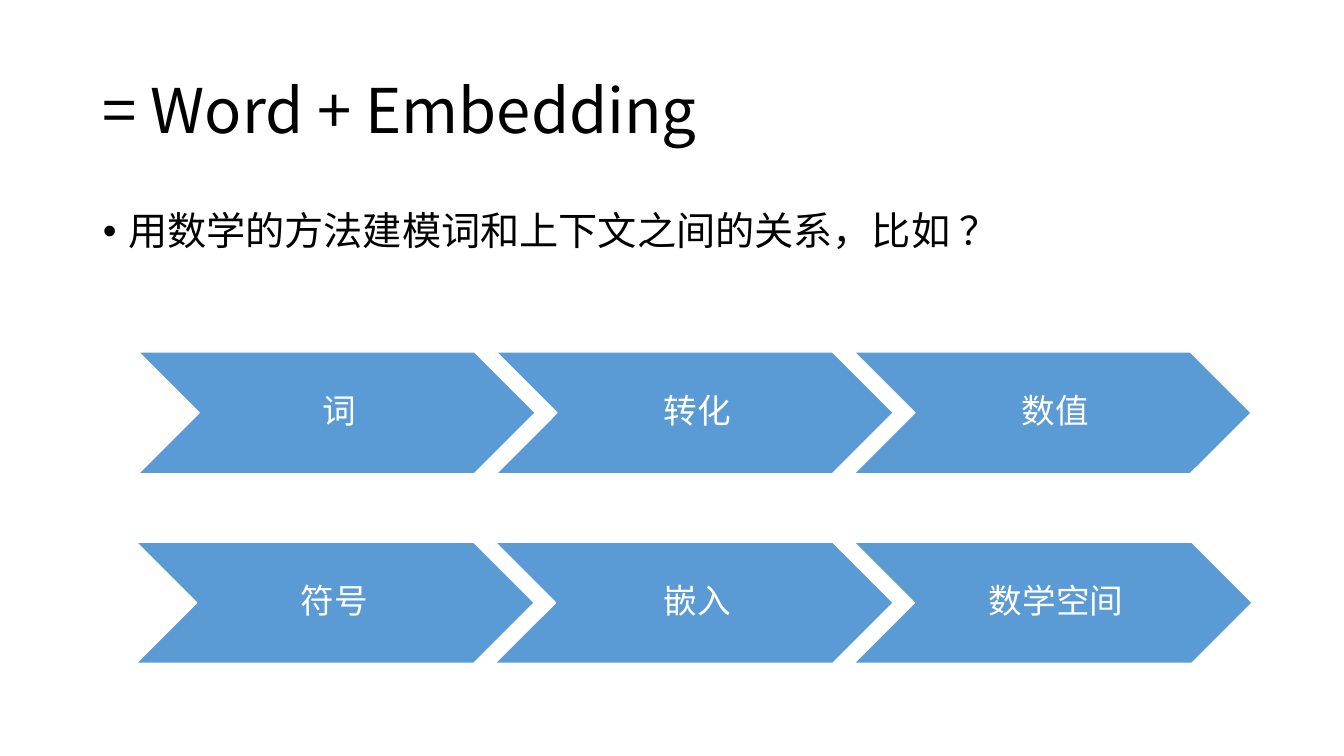
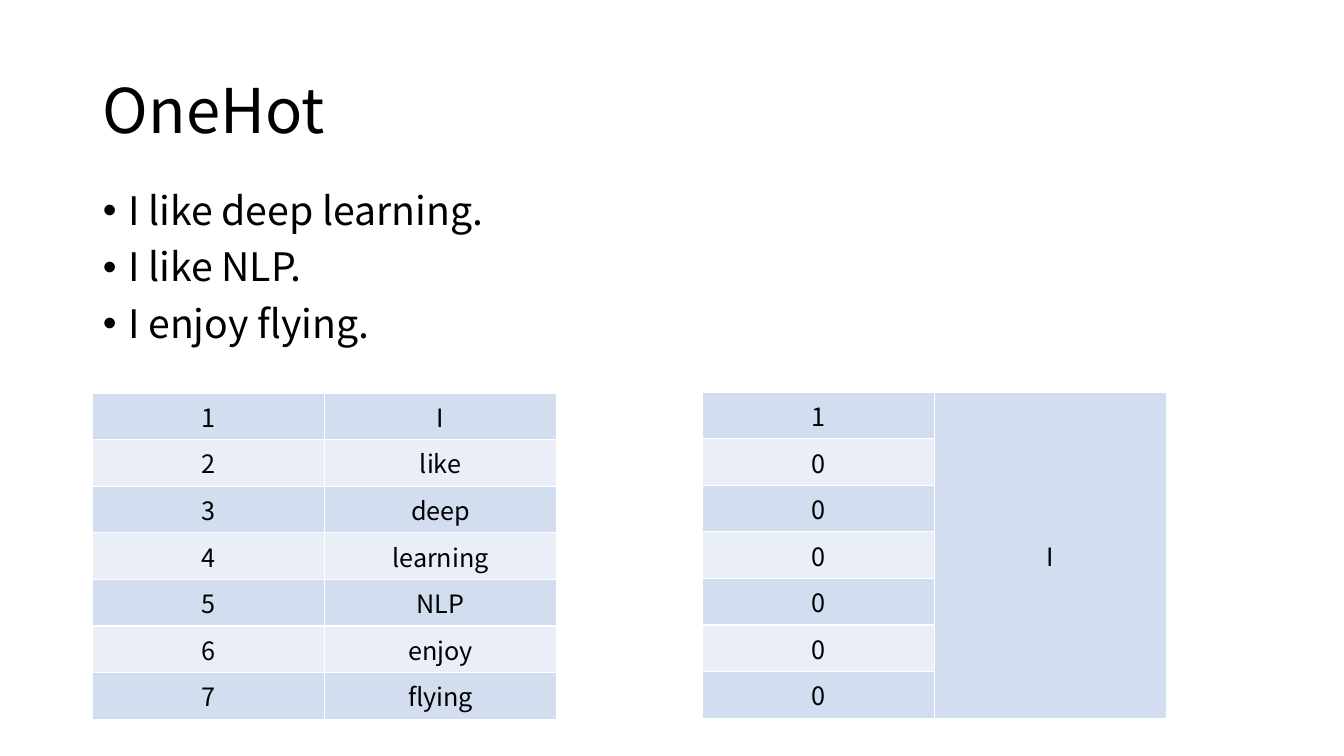
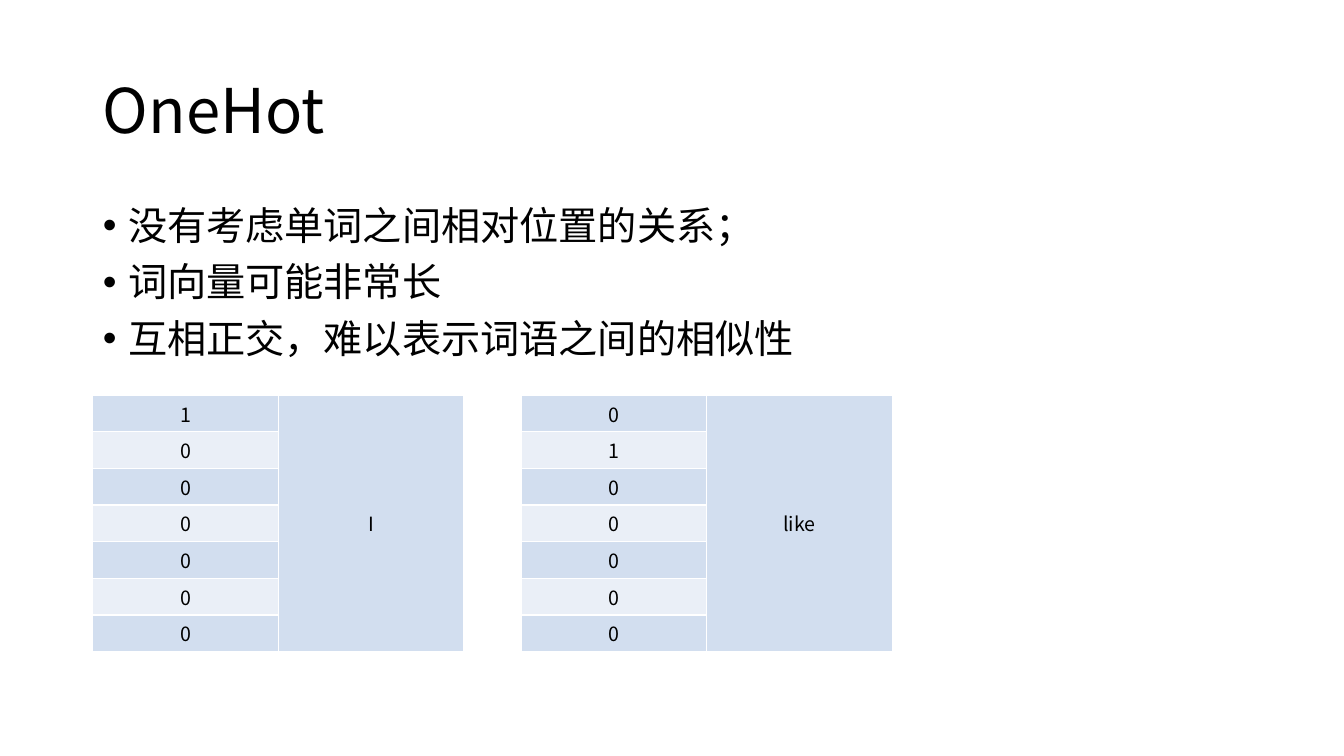
from dataclasses import dataclass

import pptx
import pptx.dml.color
import pptx.enum.shapes
import pptx.enum.text
import pptx.oxml
import pptx.oxml.ns
import pptx.util

Inches = pptx.util.Inches
Pt = pptx.util.Pt
Align = pptx.enum.text.PP_ALIGN
Anchor = pptx.enum.text.MSO_ANCHOR

FONT = "Noto Sans CJK SC"
BLACK = "000000"
WHITE = "FFFFFF"
BLUE = "5B9BD5"
BANDS = ("D2DEEF", "EAEFF7")
MARGIN = 0.92
CONTENT_WIDTH = 11.5
VOCABULARY = ("I", "like", "deep", "learning", "NLP", "enjoy", "flying")


@dataclass(frozen=True)
class ChevronRow:
    steps: tuple[str, ...]
    left: float
    top: float
    width: float
    height: float
    pitch: float


@dataclass(frozen=True)
class TableStyle:
    column_width: float
    row_height: float
    font_size: int
    side_inset: float
    end_inset: float


LARGE_TABLE = TableStyle(2.3, 0.41, 18, 0.1, 0.05)
SMALL_TABLE = TableStyle(1.84, 0.33, 14, 0.08, 0.04)


def colour(value: str) -> pptx.dml.color.RGBColor:
    return pptx.dml.color.RGBColor.from_string(value)


def write(paragraph, text: str, size: int, ink: str, align=Align.LEFT) -> None:
    paragraph.alignment = align
    run = paragraph.add_run()
    run.text = text
    run.font.size = Pt(size)
    run.font.name = FONT
    run.font.color.rgb = colour(ink)
    properties = run.font._element
    for script in ("a:ea", "a:cs"):
        typeface = properties.makeelement(pptx.oxml.ns.qn(script), {"typeface": FONT})
        properties.append(typeface)


def place(shape, left: float, top: float, width: float, height: float) -> None:
    shape.left, shape.top = Inches(left), Inches(top)
    shape.width, shape.height = Inches(width), Inches(height)


def add_slide(deck, title: str, bullets: tuple[str, ...], body_top: float, body_height: float):
    slide = deck.slides.add_slide(deck.slide_layouts[1])
    heading, body = slide.shapes.title, slide.placeholders[1]
    place(heading, MARGIN, 0.4, CONTENT_WIDTH, 1.45)
    place(body, MARGIN, body_top, CONTENT_WIDTH, body_height)
    for holder in (heading, body):
        holder.text_frame.auto_size = pptx.enum.text.MSO_AUTO_SIZE.NONE
    heading.text_frame.vertical_anchor = Anchor.MIDDLE
    heading_line = heading.text_frame.paragraphs[0]
    heading_line.line_spacing = 0.9
    write(heading_line, title, 44, BLACK)
    for index, bullet in enumerate(bullets):
        frame = body.text_frame
        item = frame.add_paragraph() if index else frame.paragraphs[0]
        item.line_spacing = 0.9
        item.space_before = Pt(10)
        write(item, bullet, 28, BLACK)
        indents = item._p.get_or_add_pPr()
        indents.set("marL", str(Inches(0.25)))
        indents.set("indent", str(Inches(-0.25)))
    return slide


def add_chevrons(slide, row: ChevronRow) -> None:
    for index, step in enumerate(row.steps):
        chevron = slide.shapes.add_shape(
            pptx.enum.shapes.MSO_SHAPE.CHEVRON,
            Inches(row.left + index * row.pitch), Inches(row.top),
            Inches(row.width), Inches(row.height),
        )
        chevron.shadow.inherit = False
        chevron.fill.solid()
        chevron.fill.fore_color.rgb = colour(BLUE)
        chevron.line.color.rgb = colour(WHITE)
        chevron.line.width = Pt(1)
        frame = chevron.text_frame
        frame.word_wrap = True
        frame.vertical_anchor = Anchor.MIDDLE
        frame.margin_left = Inches(0.1)
        frame.margin_right = frame.margin_top = frame.margin_bottom = Inches(0.04)
        frame.paragraphs[0].line_spacing = 0.9
        write(frame.paragraphs[0], step, 24, WHITE, Align.CENTER)


def set_borders(cell) -> None:
    properties = cell._tc.get_or_add_tcPr()
    for index, side in enumerate(("lnL", "lnR", "lnT", "lnB")):
        border = pptx.oxml.parse_xml(
            f'<a:{side} {pptx.oxml.ns.nsdecls("a")} w="{Pt(1)}"><a:solidFill>'
            f'<a:srgbClr val="{WHITE}"/></a:solidFill></a:{side}>'
        )
        properties.insert(index, border)


def add_table(slide, first: list[str], second: list[str], left: float, top: float,
              style: TableStyle) -> None:
    """Draw two columns; a second column of one entry spans all rows."""
    count = len(first)
    table = slide.shapes.add_table(
        count, 2, Inches(left), Inches(top),
        Inches(2 * style.column_width), Inches(count * style.row_height),
    ).table
    table.first_row = table.horz_banding = False
    for row in table.rows:
        row.height = Inches(style.row_height)
    spans = len(second) == 1
    if spans:
        table.cell(0, 1).merge(table.cell(count - 1, 1))
    for column, entries in enumerate((first, second)):
        for row in range(count):
            cell = table.cell(row, column)
            cell.fill.solid()
            cell.fill.fore_color.rgb = colour(BANDS[row % 2])
            set_borders(cell)
            cell.margin_left = cell.margin_right = Inches(style.side_inset)
            cell.margin_top = cell.margin_bottom = Inches(style.end_inset)
            if row < len(entries):
                write(cell.text_frame.paragraphs[0], entries[row],
                      style.font_size, BLACK, Align.CENTER)
    if spans:
        table.cell(0, 1).vertical_anchor = Anchor.MIDDLE


def add_one_hot(slide, word: str, left: float, top: float, style: TableStyle) -> None:
    vector = [str(int(entry == word)) for entry in VOCABULARY]
    add_table(slide, vector, [word], left, top, style)


def main() -> None:
    deck = pptx.Presentation()
    deck.slide_width, deck.slide_height = Inches(13.33), Inches(7.5)

    embedding = add_slide(
        deck, "= Word + Embedding",
        ("用数学的方法建模词和上下文之间的关系，比如 ？",), 2.05, 4.76)
    for row in (
        ChevronRow(("词", "转化", "数值"), 1.37, 3.49, 3.94, 1.21, 3.55),
        ChevronRow(("符号 ", "嵌入", "数学空间"), 1.35, 5.38, 3.95, 1.2, 3.56),
    ):
        add_chevrons(embedding, row)

    encoding = add_slide(
        deck, "OneHot",
        ("I like deep learning.", "I like NLP.", "I enjoy flying."), 1.85, 4.91)
    numbers = [str(number) for number in range(1, len(VOCABULARY) + 1)]
    add_table(encoding, numbers, list(VOCABULARY), MARGIN, 3.9, LARGE_TABLE)
    add_one_hot(encoding, "I", 6.97, 3.89, LARGE_TABLE)

    drawbacks = add_slide(
        deck, "OneHot",
        ("没有考虑单词之间相对位置的关系；", "词向量可能非常长",
         "互相正交，难以表示词语之间的相似性"), 2, 4.76)
    for index, word in enumerate(VOCABULARY[:2]):
        add_one_hot(drawbacks, word, MARGIN + index * 4.25, 3.92, SMALL_TABLE)

    deck.save("out.pptx")


if __name__ == "__main__":
    main()
